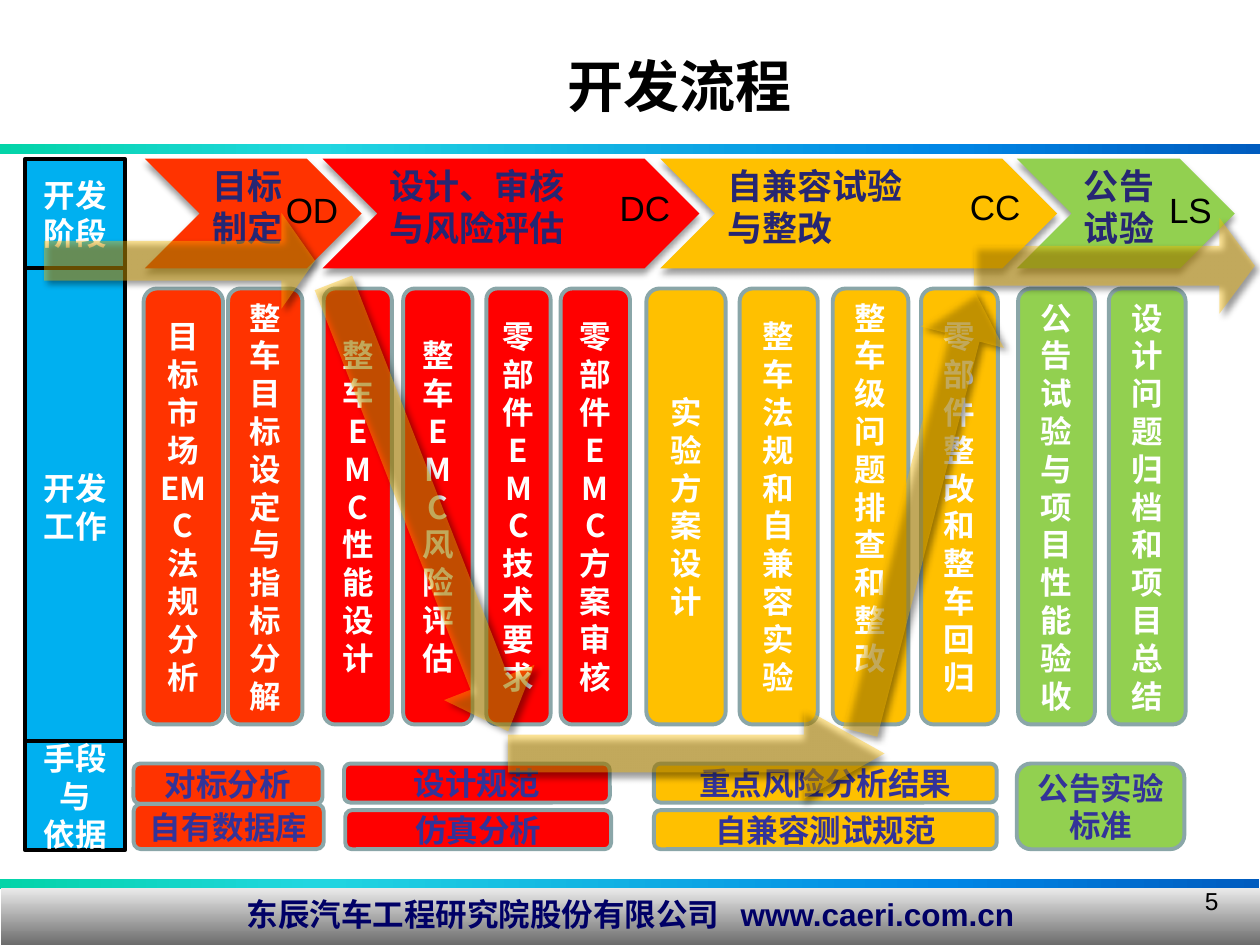
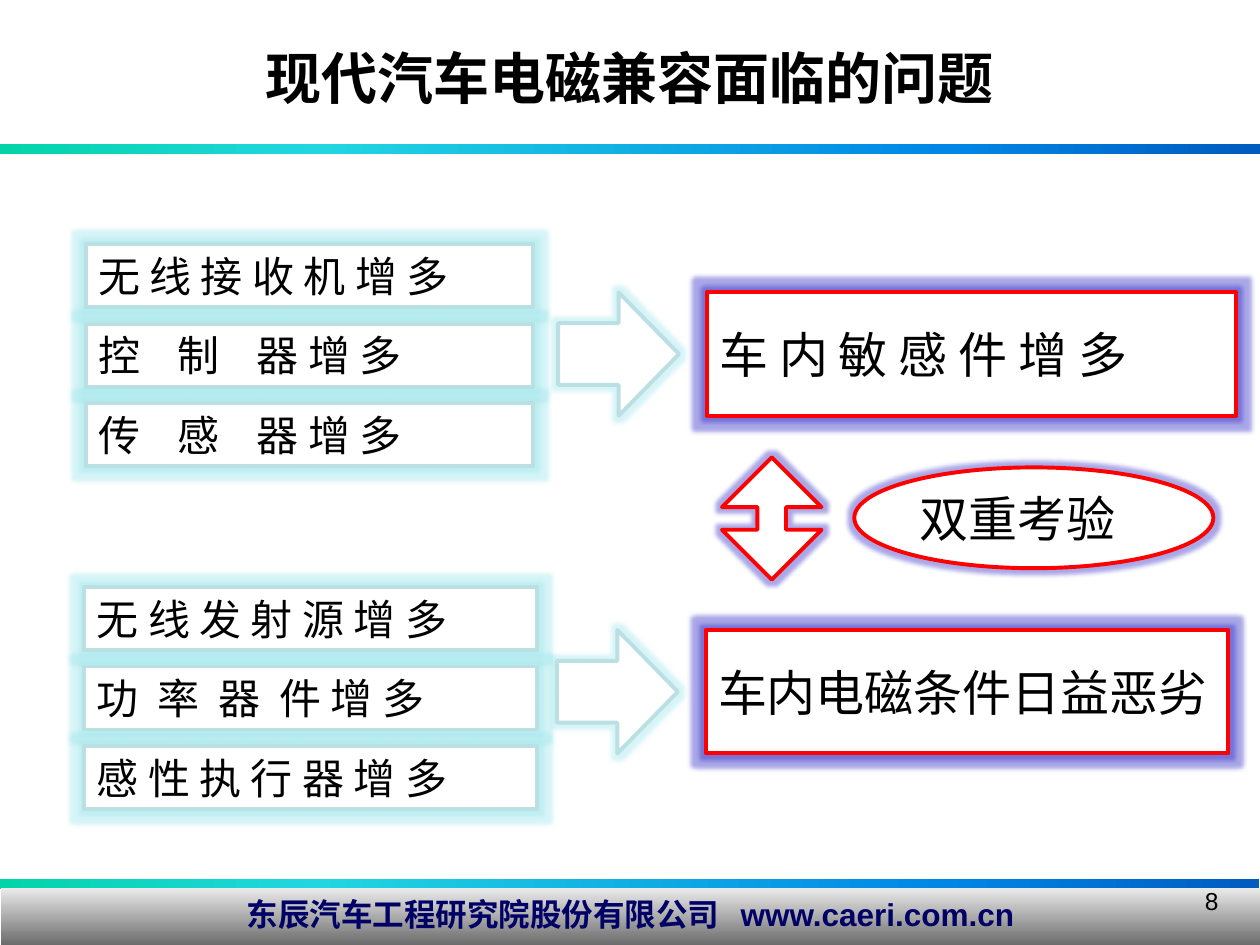
from dataclasses import dataclass
from typing import NamedTuple

from lxml.etree import SubElement
from pptx import Presentation
from pptx.dml.color import RGBColor
from pptx.enum.shapes import MSO_SHAPE as Geom
from pptx.enum.text import MSO_ANCHOR as Anchor, PP_ALIGN as Align
from pptx.oxml.ns import qn
from pptx.util import Inches, Pt


@dataclass(frozen=True)
class Theme:
    latin: str = "Arial"
    cjk: str = "Noto Sans CJK SC"
    black: str = "000000"
    white: str = "FFFFFF"
    footer_text: str = "000066"
    chevron_text: str = "262673"
    basis_text: str = "333399"
    target: str = "FF3300"
    red: str = "FF0000"
    amber: str = "FFC000"
    green: str = "92D050"
    head: str = "00B0F0"
    edge: str = "8AA6A8"
    pale: str = "BBE0E3"
    pale_glow: str = "9BE6EC"
    blue_glow: str = "2A24C4"
    band: tuple = ((0, "03D4A8"), (25, "21D6E0"), (75, "0087E6"), (100, "005CBF"))
    footer: tuple = ((0, "EAEAEA"), (100, "6C6C6C"))
    title_size: int = 32
    verdict_size: int = 28
    cause_size: int = 24
    phase_size: int = 20
    body_size: int = 18
    number_size: int = 14
    line: float = 2.25
    glow: int = 5


T = Theme()


class Box(NamedTuple):
    left: float
    top: float
    width: float
    height: float

    def inner(self, dx, dy, width, height):
        return Box(self.left + dx, self.top + dy, width, height)

    def lengths(self):
        return [Inches(value) for value in self]


# ---- Shared drawing helpers ----
def write(shape, lines, size, color, bold=False, font=T.cjk, align=Align.LEFT,
          anchor=Anchor.TOP, wrap=True):
    """Each line is a string or a list of (words, letter spacing in points)."""
    frame = shape.text_frame
    frame.word_wrap = wrap
    frame.vertical_anchor = anchor
    for index, line in enumerate(lines):
        paragraph = frame.add_paragraph() if index else frame.paragraphs[0]
        paragraph.alignment = align
        for words, spacing in [(line, 0)] if isinstance(line, str) else line:
            run = paragraph.add_run()
            run.text = words
            run.font.size = Pt(size)
            run.font.bold = bold
            run.font.color.rgb = RGBColor.from_string(color)
            run.font.name = font
            props = run.font._element
            SubElement(props, qn("a:ea")).set("typeface", T.cjk)
            if spacing:
                props.set("spc", str(int(spacing * 100)))


def label(slide, box, lines, size, color, **style):
    write(slide.shapes.add_textbox(*box.lengths()), lines, size, color, **style)


def add_color(parent, color, alpha):
    tint = SubElement(parent, qn("a:srgbClr"), val=color)
    SubElement(tint, qn("a:alpha"), val=str(alpha * 1000))


def draw(slide, geom, box, fill, line=None, adjust=()):
    shape = slide.shapes.add_shape(geom, *box.lengths())
    shape.shadow.inherit = False
    shape.fill.solid()
    shape.fill.fore_color.rgb = RGBColor.from_string(fill)
    if line:
        shape.line.color.rgb = RGBColor.from_string(line)
        shape.line.width = Pt(T.line)
    else:
        shape.line.fill.background()
    for index, value in enumerate(adjust):
        shape.adjustments[index] = value
    if adjust:
        # The preset expects its guides to be called adj1, adj2
        for index, guide in enumerate(shape._element.spPr.iter(qn("a:gd")), 1):
            guide.set("name", f"adj{index}")
    return shape


def add_effect(shape, kind, color, alpha, **settings):
    effects = shape._element.spPr.find(qn("a:effectLst"))
    effect = SubElement(effects, qn(f"a:{kind}"),
                        {key: str(int(value)) for key, value in settings.items()})
    add_color(effect, color, alpha)


def cast_shadow(shape, angle):
    add_effect(shape, "outerShdw", T.black, 40, blurRad=Pt(4), dist=Pt(3),
               dir=angle * 60000, rotWithShape=0)


def glow(shape, color):
    add_effect(shape, "glow", color, 40, rad=Pt(T.glow))


def gradient_bar(slide, box, stops, angle):
    bar = draw(slide, Geom.RECTANGLE, box, T.white)
    bar.fill.gradient()
    bar.fill.gradient_angle = -angle % 360
    stop_list = bar._element.spPr.find(".//" + qn("a:gsLst"))
    for old_stop in list(stop_list):
        stop_list.remove(old_stop)
    for position, color in stops:
        stop = SubElement(stop_list, qn("a:gs"), pos=str(position * 1000))
        SubElement(stop, qn("a:srgbClr"), val=color)
    return bar


def framed_slide(deck, title, title_box, number):
    """Blank slide with bands, footer, page number and title."""
    slide = deck.slides.add_slide(deck.slide_layouts[6])
    for band in (Box(0, 6.98, 9.99, 0.08), Box(0, 1.14, 10, 0.08)):
        gradient_bar(slide, band, T.band, 0)
    footer = gradient_bar(slide, Box(0.01, 7.05, 9.99, 0.45), T.footer, 90)
    write(footer, [[("东辰汽车工程研究院股份有限公司", 0), (" ", 8),
                    ("www.caeri.com.cn", 0)]],
          T.body_size, T.footer_text, bold=True, font=T.latin, align=Align.CENTER)
    label(slide, Box(7.44, 6.98, 2.33, 0.52), [number], T.number_size, T.black,
          font=T.latin, align=Align.RIGHT)
    label(slide, title_box, [title], T.title_size, T.black, bold=True,
          align=Align.CENTER)
    return slide


# ---- Development process: content (offsets inside each row's box) ----
PHASES = [  # left, width, colour, lines
    (0.15, 1.72, T.target, ["目标制定"]),
    (1.56, 2.99, T.red, ["设计、审核", "与风险评估"]),
    (4.24, 3.15, T.amber, ["自兼容试验", "与整改"]),
    (7.07, 1.73, T.green, ["公告试验"]),
]
PHASE_CODES = [(1.17, 0.19, "OD"), (3.82, 0.17, "DC"),
               (6.6, 0.16, "CC"), (8.18, 0.19, "LS")]
TASKS = [  # left, width, colour, task, room kept free at the foot
    (0.14, 0.63, T.target, "目标市场EMC法规分析", 0),
    (0.81, 0.59, T.target, "整车目标设定与指标分解", 0),
    (1.57, 0.54, T.red, "整车EMC性能设计", 0),
    (2.2, 0.55, T.red, "整车EMC风险评估", 0),
    (2.86, 0.51, T.red, "零部件EMC技术要求", 0),
    (3.45, 0.55, T.red, "零部件EMC方案审核", 0),
    (4.13, 0.63, T.amber, "实验方案设计", 0),
    (4.87, 0.62, T.amber, "整车法规和自兼容实验", 0),
    (5.61, 0.6, T.amber, "整车级问题排查和整改", 0.3),
    (6.31, 0.61, T.amber, "零部件整改和整车回归", 0),
    (7.08, 0.61, T.green, "公告试验与项目性能验收", 0),
    (7.8, 0.61, T.green, "设计问题归档和项目总结", 0),
]
BASES = [  # left, top, width, height, colour, basis
    (0.06, 0, 1.5, 0.32, T.target, "对标分析"),
    (0.06, 0.32, 1.51, 0.36, T.target, "自有数据库"),
    (1.73, 0, 2.11, 0.31, T.red, "设计规范"),
    (1.74, 0.37, 2.11, 0.31, T.red, "仿真分析"),
    (4.19, 0, 2.72, 0.31, T.amber, "重点风险分析结果"),
    (4.19, 0.37, 2.72, 0.31, T.amber, "自兼容测试规范"),
    (7.07, 0, 1.33, 0.68, T.green, "公告实验标准"),
]
ROW_HEADS = [(0, 0.87, ["开发阶段"]), (0.87, 3.78, ["开发工作"]),
             (4.62, 0.87, ["手段与", "依据"])]
FLOW = [  # left, top, width, height, rotation, head length, shadow angle
    (1.23, 2.38, 3.82, 0.77, 68.7, 0.54, 45),
    (0.15, 0.43, 2.15, 0.76, 0, 0.35, 45),
    (7.53, 0.47, 2.23, 0.76, 0, 0.37, 45),
    (5.27, 2.46, 3.62, 0.68, 284.5, 0.56, 45),
    (3.83, 4.36, 2.99, 0.72, 0, 0.89, 90),
]


def phase_row(slide, box):
    for left, width, color, lines in PHASES:
        chevron = draw(slide, Geom.CHEVRON, box.inner(left, 0, width, box.height), color)
        cast_shadow(chevron, 90)
        write(chevron, lines, T.phase_size, T.chevron_text, bold=True)


def phase_codes(slide, box):
    for left, top, code in PHASE_CODES:
        label(slide, box.inner(left, top, 0.8, 0.44), [code], T.phase_size, T.black,
              font=T.latin)


def card(slide, geom, box, fill, line, lines, color):
    shape = draw(slide, geom, box, fill, line)
    write(shape, lines, T.body_size, color, bold=True, align=Align.CENTER,
          anchor=Anchor.MIDDLE)
    return shape


def task_row(slide, box):
    for left, width, color, task, foot in TASKS:
        column = card(slide, Geom.ROUNDED_RECTANGLE,
                      box.inner(left, 0, width, box.height),
                      color, T.edge, [task], T.white)
        column.text_frame.margin_bottom = Inches(0.05 + foot)


def basis_row(slide, box):
    for left, top, width, height, color, basis in BASES:
        card(slide, Geom.ROUNDED_RECTANGLE, box.inner(left, top, width, height),
             color, T.edge, [basis], T.basis_text)


def row_heads(slide, box):
    for top, height, lines in ROW_HEADS:
        card(slide, Geom.RECTANGLE, box.inner(0, top, box.width, height),
             T.head, T.black, lines, T.white)


def flow_arrows(slide, box):
    for left, top, width, height, rotation, head, angle in FLOW:
        arrow = draw(slide, Geom.RIGHT_ARROW, box.inner(left, top, width, height),
                     T.amber, adjust=(0.414, head))
        arrow.rotation = rotation
        tint = arrow._element.spPr.find(qn("a:solidFill"))[0]
        SubElement(tint, qn("a:alpha"), val="40000")
        cast_shadow(arrow, angle)


def process_slide(deck):
    slide = framed_slide(deck, "开发流程", Box(4.39, 0.36, 2, 0.64), "5")
    phases = Box(1, 1.26, 9, 0.87)
    phase_row(slide, phases)
    task_row(slide, Box(1, 2.29, 9, 3.46))
    basis_row(slide, Box(1, 6.06, 9, 0.68))
    row_heads(slide, Box(0.2, 1.26, 0.79, 5.49))
    flow_arrows(slide, Box(0.2, 1.26, 9.8, 5.49))
    phase_codes(slide, phases)


# ---- Compatibility problems: content ----
RECEIVERS = [
    "无 线 接 收 机 增 多",
    [("控 制 ", 8), ("器 增 多", 0)],
    [("传 感 ", 8), ("器 增 多", 0)],
]
EMITTERS = [
    "无 线 发 射 源 增 多",
    [("功 率 器 ", 2.7), ("件 增 多", 0)],
    "感 性 执 行 器 增 多",
]
CAUSE_STEP = 0.63


def verdict(slide, geom, box, words):
    shape = draw(slide, geom, box, T.white, T.red)
    glow(shape, T.blue_glow)
    write(shape, [words], T.verdict_size, T.black, anchor=Anchor.MIDDLE)


def cause_and_effect(slide, box, cause_width, causes, arrow_top, effect_width, effect):
    """Stack of causes, an arrow, and the effect they lead to."""
    for row, cause in enumerate(causes):
        bar = draw(slide, Geom.RECTANGLE,
                   box.inner(0, row * CAUSE_STEP, cause_width, 0.5), T.white, T.pale)
        glow(bar, T.pale_glow)
        write(bar, [cause], T.cause_size, T.black)
    arrow = draw(slide, Geom.RIGHT_ARROW, box.inner(3.75, arrow_top, 0.96, 0.98),
                 T.white, T.pale)
    glow(arrow, T.pale_glow)
    verdict(slide, Geom.RECTANGLE, box.inner(4.93, arrow_top, effect_width, 0.98), effect)


def double_test(slide, box):
    arrow = draw(slide, Geom.UP_DOWN_ARROW, box.inner(0, 0, 0.79, box.height),
                 T.white, T.red, adjust=(0.287, 0.5))
    glow(arrow, T.blue_glow)
    verdict(slide, Geom.OVAL, box.inner(1.05, 0.08, 2.85, 0.8), "双重考验")


def problems_slide(deck):
    slide = framed_slide(deck, "现代汽车电磁兼容面临的问题", Box(0.5, 0.3, 9, 0.8), "8")
    cause_and_effect(slide, Box(0.68, 1.94, 9.13, 1.76), 3.55, RECEIVERS,
                     0.38, 4.2, "车 内 敏 感 件 增 多")
    cause_and_effect(slide, Box(0.67, 4.66, 9.09, 1.76), 3.59, EMITTERS,
                     0.34, 4.15, "车内电磁条件日益恶劣")
    double_test(slide, Box(5.73, 3.63, 3.9, 0.97))


def main():
    deck = Presentation()
    deck.slide_width, deck.slide_height = Inches(10), Inches(7.5)
    process_slide(deck)
    problems_slide(deck)
    deck.save("out.pptx")


if __name__ == "__main__":
    main()
